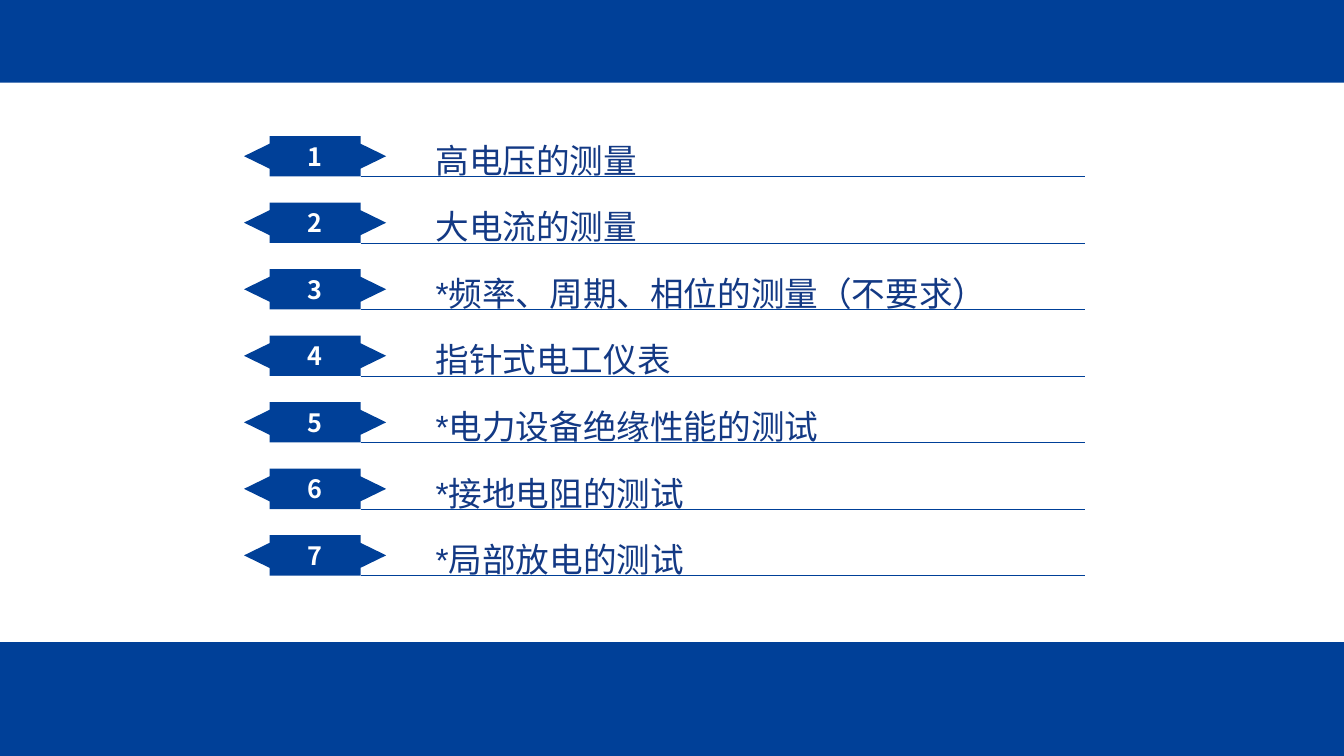
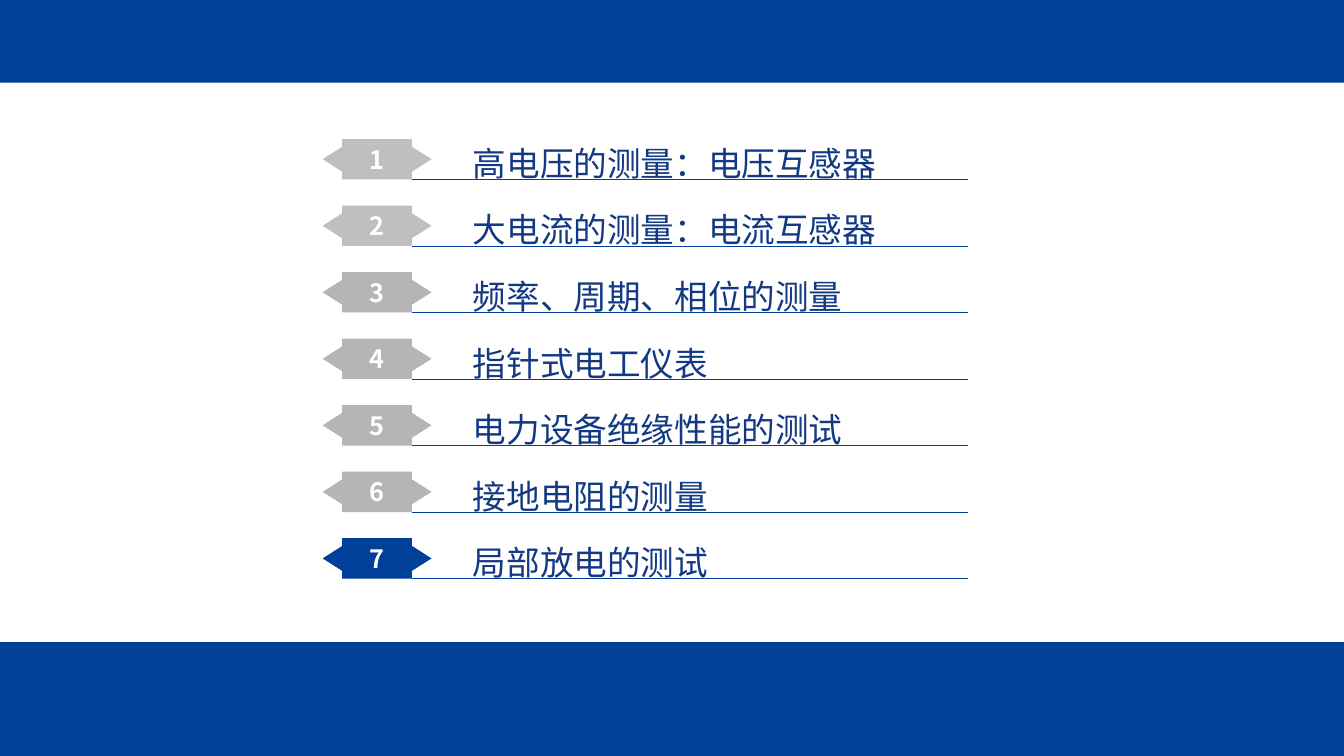
from dataclasses import dataclass

from lxml import etree
from pptx import Presentation
from pptx.dml.color import RGBColor
from pptx.enum.shapes import MSO_CONNECTOR, MSO_SHAPE
from pptx.enum.text import MSO_ANCHOR, MSO_AUTO_SIZE, PP_ALIGN
from pptx.oxml.ns import qn
from pptx.util import Inches, Pt

RECTANGLE = MSO_SHAPE.RECTANGLE
STRAIGHT = MSO_CONNECTOR.STRAIGHT
MIDDLE, TOP = MSO_ANCHOR.MIDDLE, MSO_ANCHOR.TOP
NO_AUTOFIT = MSO_AUTO_SIZE.NONE
CENTER, LEFT = PP_ALIGN.CENTER, PP_ALIGN.LEFT

SLIDE_WIDTH, SLIDE_HEIGHT = 13.33, 7.5
ROW_PITCH = 0.66
BADGE_HEIGHT = 0.4
ARROW_SHARE = 0.18
NOTCH_SHARE = 0.19
LINE_SPACING = 35
ROW_GAP = ROW_PITCH * 72 - LINE_SPACING
TEXT_RISE = 0.05

COLORS = {
    "blue": "004098",
    "navy": "133984",
    "light": "BFBFBF",
    "grey": "B5B5B6",
    "white": "FFFFFF",
}
LATIN_FONT, CHINESE_FONT = "Arial", "Noto Sans CJK SC"


@dataclass(frozen=True)
class Band:
    top: float
    height: float


@dataclass(frozen=True)
class Row:
    text: str
    color: str = "blue"


@dataclass(frozen=True)
class Agenda:
    top: float
    badge_left: float
    badge_width: float
    text_left: float
    line_right: float
    rows: tuple[Row, ...]


BANDS = (Band(0, 0.82), Band(6.37, 1.13))

AGENDAS = (
    Agenda(1.35, 2.42, 1.41, 4.32, 10.76, (
        Row("高电压的测量"),
        Row("大电流的测量"),
        Row("*频率、周期、相位的测量（不要求）"),
        Row("指针式电工仪表"),
        Row("*电力设备绝缘性能的测试"),
        Row("*接地电阻的测试"),
        Row("*局部放电的测试"),
    )),
    Agenda(1.38, 3.2, 1.08, 4.69, 9.6, (
        Row("高电压的测量：电压互感器", "light"),
        Row("大电流的测量：电流互感器", "light"),
        Row("频率、周期、相位的测量", "grey"),
        Row("指针式电工仪表", "grey"),
        Row("电力设备绝缘性能的测试", "grey"),
        Row("接地电阻的测量", "grey"),
        Row("局部放电的测试"),
    )),
)


def rgb(name: str) -> RGBColor:
    return RGBColor.from_string(COLORS[name])


def fill_shape(shape, color: str) -> None:
    shape.shadow.inherit = False
    shape.fill.solid()
    shape.fill.fore_color.rgb = rgb(color)
    shape.line.fill.background()


def format_run(run, font_name: str, size: float, color: str, bold: bool) -> None:
    run.font.name = font_name
    run.font.size = Pt(size)
    run.font.bold = bold
    run.font.color.rgb = rgb(color)
    latin = run.font._element.find(qn("a:latin"))
    east_asian = etree.Element(qn("a:ea"), typeface=CHINESE_FONT)
    latin.addnext(east_asian)


def prepare_frame(text_frame, anchor, wrap: bool) -> None:
    text_frame.auto_size = NO_AUTOFIT
    text_frame.word_wrap = wrap
    text_frame.vertical_anchor = anchor
    text_frame.margin_left = text_frame.margin_right = 0
    text_frame.margin_top = text_frame.margin_bottom = 0


def add_master_bands(presentation, slide) -> None:
    tree = presentation.slide_master.shapes.element
    for number, band in enumerate(BANDS, start=1):
        shape = slide.shapes.add_shape(
            RECTANGLE, 0, Inches(band.top), Inches(SLIDE_WIDTH), Inches(band.height))
        shape.name = f"Band {number}"
        fill_shape(shape, "blue")
        shape.element.find(f".//{qn('p:cNvPr')}").set("id", str(100 + number))
        tree.insert(1 + number, shape.element)


def add_badge(slide, agenda: Agenda, top: float, number: int, color: str) -> None:
    shares = (
        (1 - ARROW_SHARE, 0), (ARROW_SHARE, 0),
        (ARROW_SHARE, NOTCH_SHARE), (0, 0.5), (ARROW_SHARE, 1 - NOTCH_SHARE),
        (ARROW_SHARE, 1), (1 - ARROW_SHARE, 1),
        (1 - ARROW_SHARE, 1 - NOTCH_SHARE), (1, 0.5), (1 - ARROW_SHARE, NOTCH_SHARE),
    )
    points = [
        (Inches(agenda.badge_left + x * agenda.badge_width), Inches(top + y * BADGE_HEIGHT))
        for x, y in shares
    ]
    builder = slide.shapes.build_freeform(*points[0])
    builder.add_line_segments(points[1:], close=True)
    badge = builder.convert_to_shape()
    badge.name = f"Badge {number}"
    fill_shape(badge, color)
    prepare_frame(badge.text_frame, MIDDLE, False)
    badge.text_frame.text = str(number)
    paragraph = badge.text_frame.paragraphs[0]
    paragraph.alignment = CENTER
    format_run(paragraph.runs[0], CHINESE_FONT, 18, "white", True)


def add_underline(slide, agenda: Agenda, bottom: float) -> None:
    start = agenda.badge_left + agenda.badge_width * (1 - ARROW_SHARE)
    connector = slide.shapes.add_connector(
        STRAIGHT, Inches(start), Inches(bottom), Inches(agenda.line_right), Inches(bottom))
    connector.line.color.rgb = rgb("blue")
    connector.line.width = Pt(0.5)
    etree.SubElement(connector.element.spPr, qn("a:effectLst"))


def fill_list(placeholder, agenda: Agenda) -> None:
    placeholder.left = Inches(agenda.text_left)
    placeholder.top = Inches(agenda.top - TEXT_RISE)
    placeholder.width = Inches(agenda.line_right - agenda.text_left)
    placeholder.height = Inches(ROW_PITCH * len(agenda.rows))
    text_frame = placeholder.text_frame
    prepare_frame(text_frame, TOP, True)
    text_frame.text = "\n".join(row.text for row in agenda.rows)
    for index, paragraph in enumerate(text_frame.paragraphs):
        paragraph.alignment = LEFT
        paragraph.line_spacing = Pt(LINE_SPACING)
        paragraph.space_before = Pt(ROW_GAP if index else 0)
        paragraph.space_after = Pt(0)
        properties = paragraph._p.get_or_add_pPr()
        properties.set("marL", "0")
        properties.set("indent", "0")
        etree.SubElement(properties, qn("a:buNone"))
        format_run(paragraph.runs[0], LATIN_FONT, 24, "navy", False)


def draw_agenda(slide, agenda: Agenda) -> None:
    title = slide.shapes.title.element
    title.getparent().remove(title)
    fill_list(slide.placeholders[1], agenda)
    for index, row in enumerate(agenda.rows):
        top = agenda.top + index * ROW_PITCH
        add_underline(slide, agenda, top + BADGE_HEIGHT)
        add_badge(slide, agenda, top, index + 1, row.color)


def main() -> None:
    presentation = Presentation()
    presentation.slide_width = Inches(SLIDE_WIDTH)
    presentation.slide_height = Inches(SLIDE_HEIGHT)
    layout = presentation.slide_layouts[1]
    slides = [presentation.slides.add_slide(layout) for _ in AGENDAS]
    add_master_bands(presentation, slides[0])
    for slide, agenda in zip(slides, AGENDAS):
        draw_agenda(slide, agenda)
    presentation.save("out.pptx")


if __name__ == "__main__":
    main()
